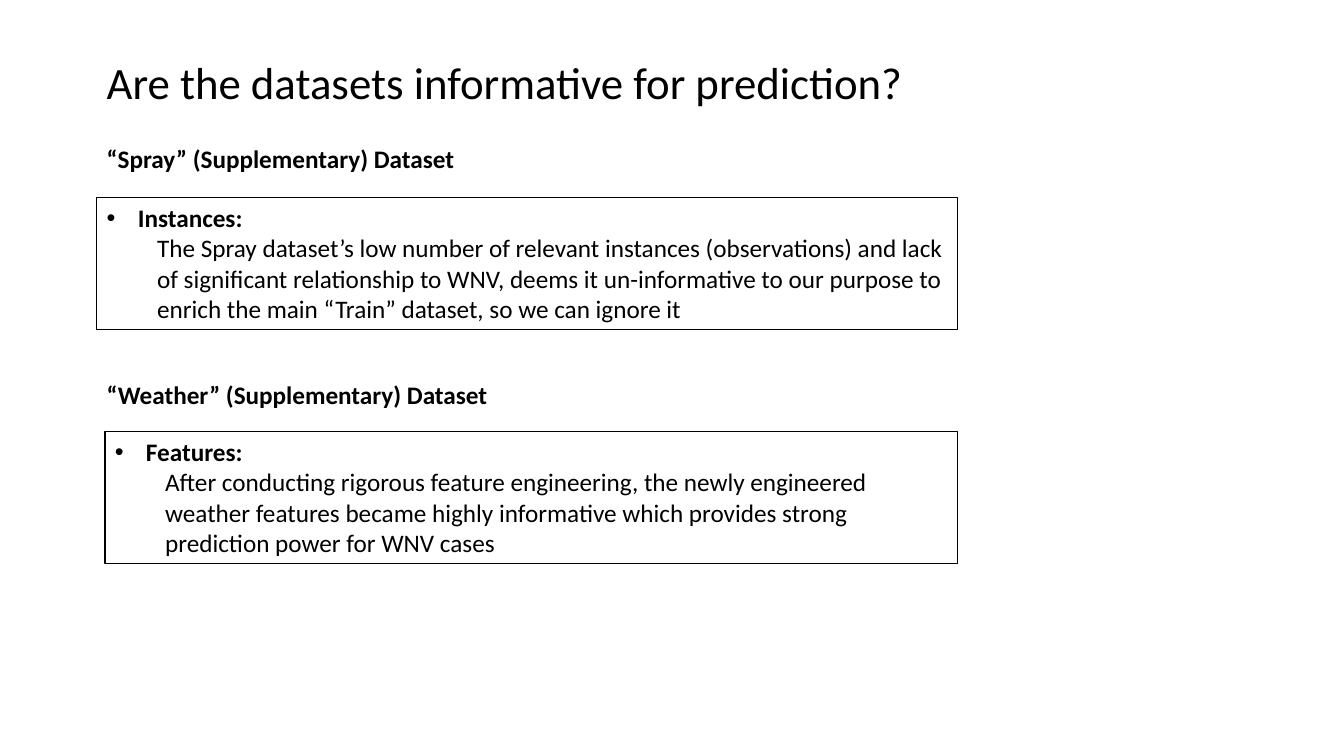
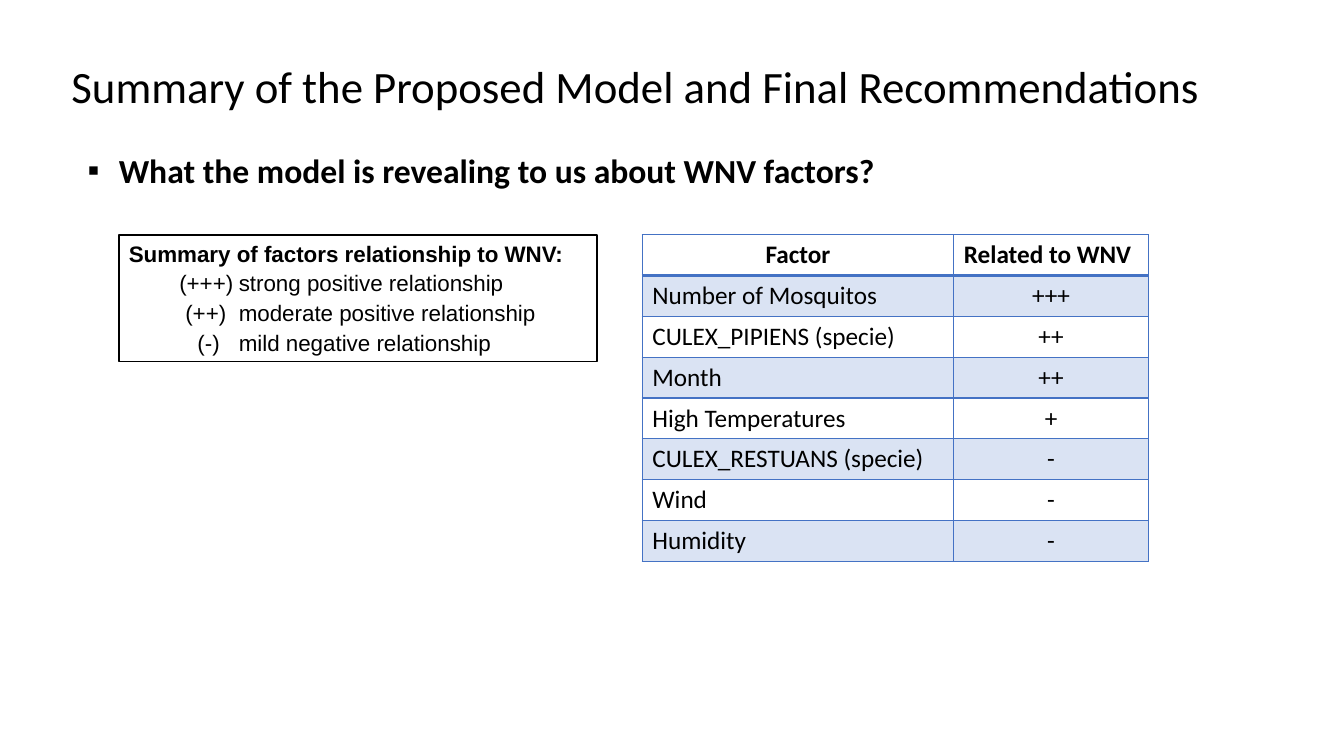
import pptx
import pptx.util
import pptx.oxml
import pptx.oxml.ns
import pptx.dml.color
import pptx.enum.shapes
import pptx.enum.text

Inches, Pt = pptx.util.Inches, pptx.util.Pt
RGB = pptx.dml.color.RGBColor
ALIGN = pptx.enum.text.PP_ALIGN
ANCHOR = pptx.enum.text.MSO_ANCHOR
BLACK, WHITE = RGB(0, 0, 0), RGB(255, 255, 255)
BLUE, BAND = RGB(0x44, 0x72, 0xC4), RGB(0xDA, 0xE3, 0xF3)

TITLE = {"size": 32}
HEAD = {"size": 18, "bold": True}
BODY = {"size": 18}
ASK = {"size": 24, "bold": True}
KEY = {"size": 16, "name": "Arial"}

# title, place, line spacing
TITLES = [
    ("Are the datasets informative for prediction?", (0.96, 0.49, 8.41, 0.64), 1),
    ("Summary of the Proposed Model and Final Recommendations",
     (0.61, 0.16, 12.12, 1.45), 0.9),
]

# heading, its place, label, text, place of the frame
DATASETS = [
    ("“Spray” (Supplementary) Dataset", (0.96, 1.37, 3.92, 0.4), "Instances:",
     "The Spray dataset’s low number of relevant instances (observations) and lack "
     "of significant relationship to WNV, deems it un-informative to our purpose to "
     "enrich the main “Train” dataset, so we can ignore it",
     (0.96, 1.96, 8.54, 1.31)),
    ("“Weather” (Supplementary) Dataset", (0.96, 3.71, 4.23, 0.4), "Features:",
     "After conducting rigorous feature engineering, the newly engineered weather "
     "features became highly informative which provides strong prediction power "
     "for WNV cases",
     (1.04, 4.28, 8.46, 1.31)),
]

QUESTION = "What the model is revealing to us about WNV factors?"
LEGEND = "Summary of factors relationship to WNV:"
# mark, meaning, left edge of the mark
MARKS = [
    ("(+++)", "strong positive relationship", 0.5),
    ("(++)", "moderate positive relationship", 0.56),
    ("(-)", "mild negative relationship", 0.68),
]
MEAN_LEFT = 1.09

FACTORS = [
    ("Factor", "Related to WNV"),
    ("Number of Mosquitos", "+++"),
    ("CULEX_PIPIENS (specie)", "++"),
    ("Month", "++"),
    ("High Temperatures", "+"),
    ("CULEX_RESTUANS (specie)", "-"),
    ("Wind", "-"),
    ("Humidity", "-"),
]
COLS = (3.09, 1.93)
ROW = 0.405


def element(xml):
    return pptx.oxml.parse_xml(xml.replace(" ", " " + pptx.oxml.ns.nsdecls("a") + " ", 1))


def style(para, look):
    para.font.color.rgb = BLACK
    for key, value in {"name": "Calibri", **look}.items():
        setattr(para.font, key, Pt(value) if key == "size" else value)


def write(shape, paras):
    """Fill a shape with (text, look, layout) paragraphs."""
    frame = shape.text_frame
    frame.word_wrap = True
    frame.vertical_anchor = ANCHOR.TOP
    for i, (text, look, layout) in enumerate(paras):
        para = frame.add_paragraph() if i else frame.paragraphs[0]
        para.add_run().text = text
        props = para._p.get_or_add_pPr()
        left, first = layout.get("indent", (0, 0))
        props.set("marL", str(Inches(left)))
        props.set("indent", str(Inches(first)))
        if "bullet" in layout:
            props.append(element('<a:buFont typeface="Arial"/>'))
            props.append(element(f'<a:buChar char="{layout["bullet"]}"/>'))
        para.alignment = ALIGN.LEFT
        for key in ("space_before", "space_after", "line_spacing"):
            if key in layout:
                setattr(para, key, layout[key])
        style(para, look)


def label(slide, place, *paras):
    box = slide.shapes.add_textbox(*map(Inches, place))
    write(box, paras)
    return box


def panel(slide, place, *paras):
    """Add a white frame with a thin black outline."""
    box = slide.shapes.add_shape(pptx.enum.shapes.MSO_SHAPE.RECTANGLE, *map(Inches, place))
    box.shadow.inherit = False
    box.fill.solid()
    box.fill.fore_color.rgb = WHITE
    box.line.color.rgb = BLACK
    box.line.width = Pt(1)
    write(box, paras)


def border(cell, header):
    props = cell._tc.get_or_add_tcPr()
    for side in "LRTB":
        width = Pt(2 if header and side == "B" else 1)
        props.append(element(f'<a:ln{side} w="{width}"><a:solidFill>'
                             f'<a:srgbClr val="{BLUE}"/></a:solidFill></a:ln{side}>'))


def grid(slide, left, top):
    count = len(FACTORS)
    table = slide.shapes.add_table(count, len(COLS), Inches(left), Inches(top),
                                   Inches(sum(COLS)), Inches(ROW * count)).table
    table.first_row = table.horz_banding = False
    for col, width in zip(table.columns, COLS):
        col.width = Inches(width)
    for r, row in enumerate(FACTORS):
        table.rows[r].height = Inches(ROW)
        for c, text in enumerate(row):
            cell = table.cell(r, c)
            border(cell, r == 0)
            cell.fill.solid()
            cell.fill.fore_color.rgb = BAND if r % 2 else WHITE
            para = cell.text_frame.paragraphs[0]
            para.add_run().text = text
            para.alignment = ALIGN.CENTER if (r == 0) != (c == 1) else ALIGN.LEFT
            style(para, BODY if r else HEAD)


def start(deck, title, place, spacing):
    slide = deck.slides.add_slide(deck.slide_layouts[6])
    box = label(slide, place, (title, TITLE, {"line_spacing": spacing}))
    box.text_frame.vertical_anchor = ANCHOR.MIDDLE
    return slide


def datasets(slide):
    for head, spot, name, text, place in DATASETS:
        label(slide, spot, (head, HEAD, {}))
        panel(slide, place,
              (name, HEAD, {"indent": (0.31, -0.31), "bullet": "•"}),
              (text, BODY, {"indent": (0.5, 0)}))


def summary(slide):
    label(slide, (0, 1.44, 8.97, 0.5),
          (QUESTION, ASK, {"indent": (1.08, -0.31), "bullet": "▪"}))
    gap = {"space_before": Pt(1), "space_after": Pt(1)}
    marks = [(f"{mark}\t{text}", KEY, {"indent": (MEAN_LEFT, left - MEAN_LEFT), **gap})
             for mark, text, left in MARKS]
    panel(slide, (1.18, 2.33, 4.74, 1.26),
          (LEGEND, {**KEY, "bold": True}, {"space_after": Pt(1)}), *marks)
    grid(slide, 6.37, 2.33)


def main():
    deck = pptx.Presentation()
    deck.slide_width, deck.slide_height = Inches(13.33), Inches(7.5)
    for head, fill in zip(TITLES, (datasets, summary)):
        fill(start(deck, *head))
    deck.save("out.pptx")


if __name__ == "__main__":
    main()
